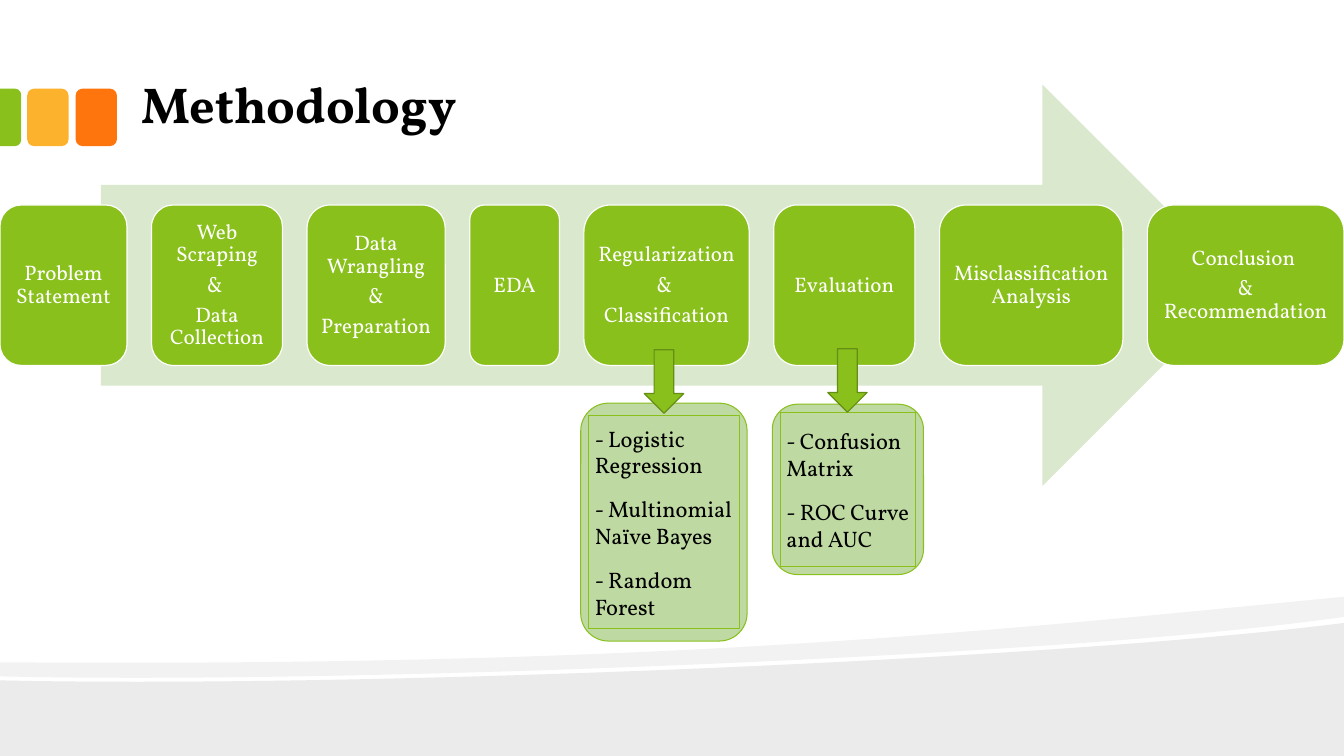
import pptx
import pptx.util
from lxml import etree
from pptx.dml.color import RGBColor
from pptx.enum.shapes import MSO_SHAPE
from pptx.enum.text import MSO_ANCHOR, PP_ALIGN
from pptx.oxml.ns import qn
from pptx.util import Inches

COLORS = {
    "green": "89C01C", "dark_green": "658E15", "pale_green": "BED9A2",
    "arrow": "DAE8CD", "amber": "FCB22C", "orange": "FE750E",
    "wave": "EBEBEB", "band": "F2F2F2", "white": "FFFFFF", "black": "000000",
}
FONT = "Vollkorn"
WIDTH, HEIGHT = 13.33, 7.5

# Width and paragraphs of each step
STEPS = [
    (1.26, ["Problem Statement"]),
    (1.30, ["Web Scraping", "& ", "Data Collection"]),
    (1.37, ["Data Wrangling", " & ", "Preparation"]),
    (0.89, ["EDA"]),
    (1.64, ["Regularization ", "& ", "Classification"]),
    (1.40, ["Evaluation"]),
    (1.82, ["Misclassification Analysis"]),
    (1.95, ["Conclusion ", "& Recommendation"]),
]


def paint(shape, fill, line=None, weight=0.75):
    shape.shadow.inherit = False
    shape.fill.solid()
    shape.fill.fore_color.rgb = RGBColor.from_string(COLORS[fill])
    if line:
        shape.line.color.rgb = RGBColor.from_string(COLORS[line])
        shape.line.width = pptx.util.Pt(weight)
    else:
        shape.line.fill.background()


def add_box(page, kind, box, fill, line=None, weight=0.75):
    shape = page.shapes.add_shape(kind, *map(Inches, box))
    paint(shape, fill, line, weight)
    return shape


def write(shape, lines, size, color, align, before=0, after=0, spacing=1.0,
          margins=None, bold=False):
    frame = shape.text_frame
    frame.word_wrap = True
    frame.vertical_anchor = MSO_ANCHOR.MIDDLE
    if margins:
        frame.margin_left, frame.margin_right = map(Inches, margins)
        frame.margin_top = frame.margin_bottom = Inches(0.06)
    for index, line in enumerate(lines):
        para = frame.add_paragraph() if index else frame.paragraphs[0]
        para.alignment = align
        para.line_spacing = spacing
        para.space_before = pptx.util.Pt(before)
        para.space_after = pptx.util.Pt(after)
        span = para.add_run()
        span.text = line
        span.font.name = FONT
        span.font.size = pptx.util.Pt(size)
        span.font.bold = bold
        span.font.color.rgb = RGBColor.from_string(COLORS[color])


def add_outline(page, start, segments, fill):
    """Closed outline; a segment of three points is a Bézier curve."""
    points = [tuple(map(Inches, point)) for part in segments for point in part]
    builder = page.shapes.build_freeform(*map(Inches, start))
    builder.add_line_segments(points, close=True)
    shape = builder.convert_to_shape()
    paint(shape, fill)
    lines = list(shape.element.iter(qn("a:lnTo")))
    for part in segments:
        group, lines = lines[:len(part)], lines[len(part):]
        if len(group) == 3:
            bend = etree.Element(qn("a:cubicBezTo"))
            group[0].addprevious(bend)
            for line in group:
                bend.append(line[0])
                line.getparent().remove(line)


def add_waves(page):
    # Ground
    add_outline(page, (WIDTH, 6.18), [
        [(WIDTH, HEIGHT)], [(0, HEIGHT)], [(0, 6.75)],
        [(3.52, 6.83), (10.42, 6.55), (WIDTH, 6.18)]], "wave")
    # Band above it
    add_outline(page, (WIDTH, 5.92), [
        [(WIDTH, 6.12)],
        [(12.55, 6.23), (11.49, 6.33), (10.29, 6.41)],
        [(6.98, 6.63), (2.58, 6.77), (0, 6.71)],
        [(0, 6.57)],
        [(6.52, 6.62), (9.71, 6.27), (WIDTH, 5.92)]], "band")


def add_header(page, left, top):
    # Colour tabs, the first one running off the edge
    for offset, color in ((0.75, "orange"), (0.27, "amber")):
        add_box(page, MSO_SHAPE.ROUNDED_RECTANGLE,
                (left + offset, top, 0.41, 0.57), color)
    tab = add_box(page, MSO_SHAPE.ROUND_2_SAME_RECTANGLE,
                  (left - 0.18, top + 0.18, 0.57, 0.21), "green")
    tab.rotation = 90
    tab.adjustments[0] = 0.29
    # Title
    title = page.shapes.add_textbox(
        *map(Inches, (left + 1.31, top - 0.2, 6.67, 0.71)))
    write(title, ["Methodology"], 36, "black", PP_ALIGN.LEFT, 6, 6, bold=True)
    title.text_frame.vertical_anchor = MSO_ANCHOR.TOP


def add_process(page, left, top, width, height):
    add_box(page, MSO_SHAPE.RIGHT_ARROW,
            (left + 1, top, width - 2, height), "arrow")
    gap = (width - sum(step[0] for step in STEPS)) / (len(STEPS) - 1)
    for step_width, lines in STEPS:
        step = add_box(page, MSO_SHAPE.ROUNDED_RECTANGLE,
                       (left, top + 0.3 * height, step_width, 0.4 * height),
                       "green", "white", 0.85)
        write(step, lines, 15, "white", PP_ALIGN.CENTER, after=5.25,
              spacing=0.9, margins=(0.05, 0.05))
        left += step_width + gap


def add_detail(page, left, top, width, height, inset, lines):
    add_box(page, MSO_SHAPE.ROUNDED_RECTANGLE, (left, top, width, height),
            "pale_green", "green")
    panel = add_box(page, MSO_SHAPE.RECTANGLE,
                    (left + 0.08, top + inset, width - 0.16, height - 2 * inset),
                    "pale_green", "green")
    write(panel, lines, 16, "black", PP_ALIGN.LEFT, 6, 6, margins=(0.06, 0.04))


def add_down_arrow(page, left, top):
    add_box(page, MSO_SHAPE.DOWN_ARROW, (left, top, 0.39, 0.63),
            "green", "dark_green", 0.85)


def main():
    deck = pptx.Presentation()
    deck.slide_width, deck.slide_height = Inches(WIDTH), Inches(HEIGHT)
    page = deck.slides.add_slide(deck.slide_layouts[6])
    add_waves(page)
    add_header(page, 0, 0.88)
    add_process(page, 0, 0.84, WIDTH, 3.98)
    add_detail(page, 5.76, 4, 1.65, 2.36, 0.12,
               ["- Logistic Regression", "- Multinomial Naïve Bayes",
                "- Random Forest"])
    add_detail(page, 7.66, 4.01, 1.5, 1.69, 0.08,
               ["- Confusion Matrix", "- ROC Curve and AUC"])
    add_down_arrow(page, 6.39, 3.47)
    add_down_arrow(page, 8.21, 3.46)
    deck.save("out.pptx")


if __name__ == "__main__":
    main()
